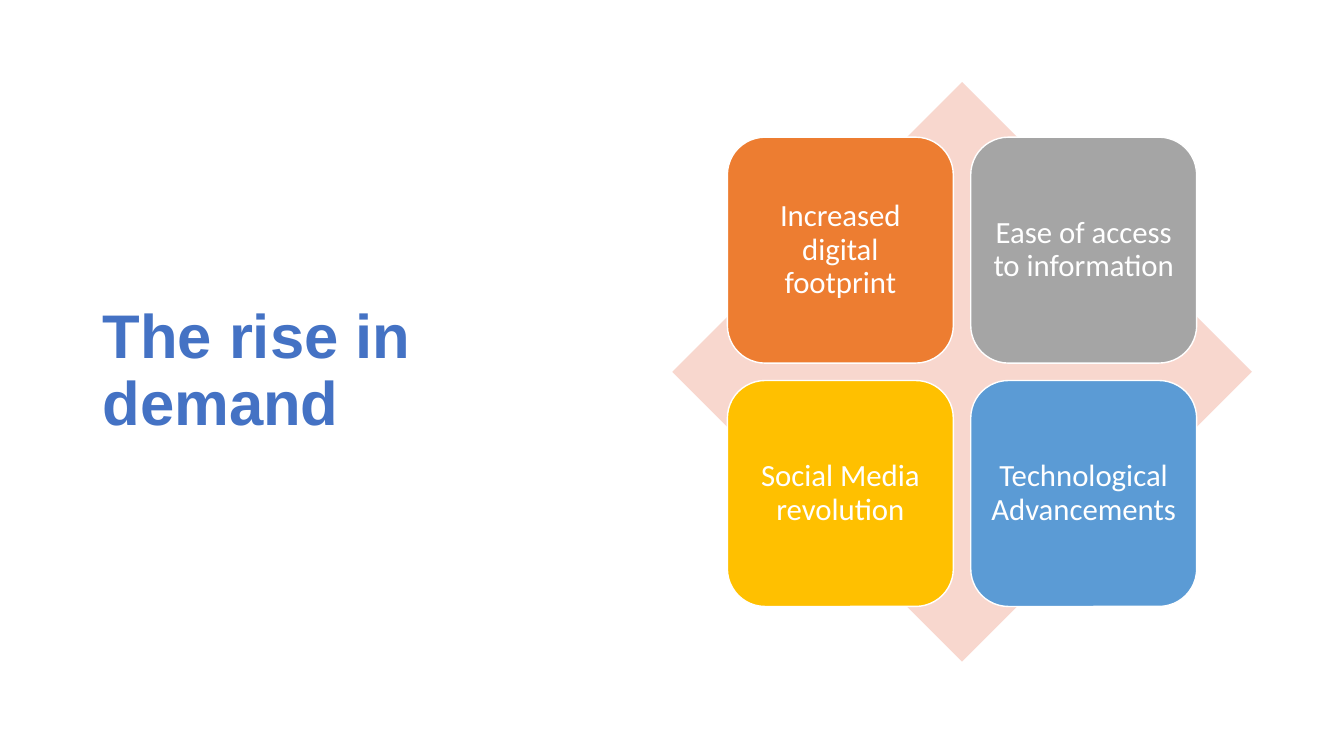
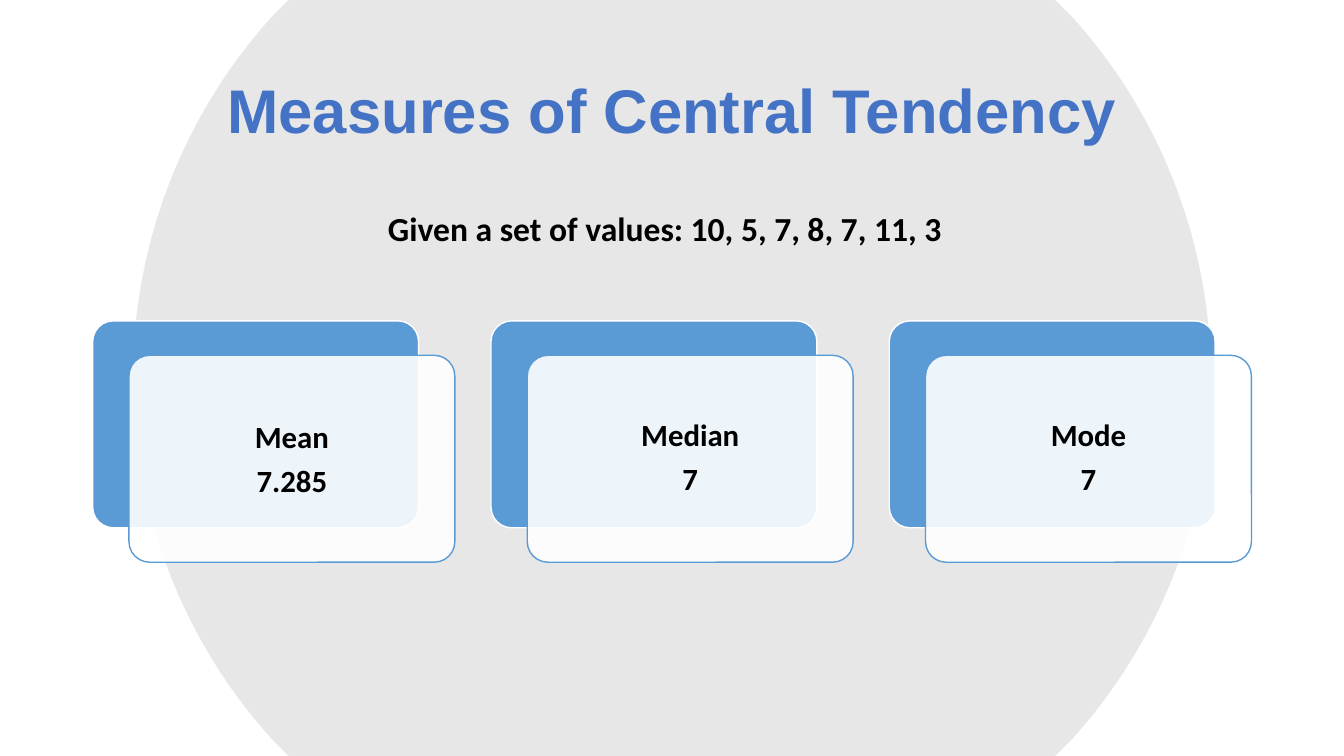
import math

import lxml.etree
import pptx
import pptx.dml.color
import pptx.enum.shapes
import pptx.enum.text
import pptx.oxml.ns
import pptx.util

Pt = pptx.util.Pt
qn = pptx.oxml.ns.qn
SHAPE = pptx.enum.shapes.MSO_SHAPE
ALIGN = pptx.enum.text.PP_ALIGN
ANCHOR = pptx.enum.text.MSO_ANCHOR

SLIDE_W, SLIDE_H = 960, 540
MARGIN = 66.2
TITLE_BLUE, SKY = "4472C4", "5B9BD5"
ORANGE, GREY, GOLD = "ED7D31", "A5A5A5", "FFC000"
PEACH, DISC_GREY = "F8D7CE", "D9D9D9"
WHITE, BLACK = "FFFFFF", "000000"


def rgb(code):
    """Turn a hex string into a colour."""
    return pptx.dml.color.RGBColor.from_string(code)


def paint(sp, fill, line=None, opacity=100):
    """Set the fill, outline and opacity of a shape."""
    sp.shadow.inherit = False
    sp.fill.solid()
    sp.fill.fore_color.rgb = rgb(fill)
    if opacity < 100:
        clr = sp._element.spPr.find(".//" + qn("a:srgbClr"))
        alpha = lxml.etree.SubElement(clr, qn("a:alpha"))
        alpha.set("val", str(opacity * 1000))
    if line:
        sp.line.color.rgb = rgb(line)
        sp.line.width = Pt(1)
    else:
        sp.line.fill.background()


def write(sp, text, size=22, color=BLACK, bold=False, font="Calibri", align=ALIGN.LEFT,
          anchor=ANCHOR.MIDDLE, spacing=0.9, gap=0, inset=None, drop=0):
    """Write formatted text into a shape, one paragraph a line."""
    tf = sp.text_frame
    tf.word_wrap = True
    tf.vertical_anchor = anchor
    if inset is not None:
        tf.margin_left = tf.margin_right = tf.margin_bottom = Pt(inset)
        tf.margin_top = Pt(inset + 2 * drop)
    for i, line in enumerate(text.split("\n")):
        p = tf.add_paragraph() if i else tf.paragraphs[0]
        p.alignment = align
        p.line_spacing = spacing
        p.space_before = Pt(gap if i else 0)
        r = p.add_run()
        r.text = line
        r.font.name, r.font.size, r.font.bold = font, Pt(size), bold
        r.font.color.rgb = rgb(color)


def add_label(s, box, text, **style):
    """Add a text box."""
    write(s.shapes.add_textbox(*map(Pt, box)), text, **style)


def add_title(s, box, text, align=ALIGN.LEFT):
    """Add a slide title."""
    add_label(s, box, text, size=44, color=TITLE_BLUE, bold=True, font="Arial", align=align)


def add_box(s, kind, box, fill, line=None, opacity=100, radius=None):
    """Add a painted preset shape."""
    sp = s.shapes.add_shape(kind, *map(Pt, box))
    if radius is not None:
        sp.adjustments[0] = radius
    paint(sp, fill, line, opacity)
    return sp


def curve_segment(segment, radius, cy, start, end):
    """Replace a straight path segment with a circular arc."""
    k = 4 / 3 * math.tan((end - start) / 4)
    curve = lxml.etree.Element(qn("a:cubicBezTo"))
    for angle, pull in ((start, k), (end, -k), (end, 0)):
        x = radius * (1 + math.cos(angle) - pull * math.sin(angle))
        y = cy + radius * (math.sin(angle) + pull * math.cos(angle))
        pt = lxml.etree.SubElement(curve, qn("a:pt"))
        pt.set("x", str(int(Pt(x))))
        pt.set("y", str(int(Pt(y))))
    segment.getparent().replace(segment, curve)


def add_disc(s, radius, chamfer):
    """Add a centred disc cut off at the top and bottom slide edges."""
    cx, cy = SLIDE_W / 2, SLIDE_H / 2
    limit = math.asin((cy - chamfer) / radius)
    reach = radius * math.cos(limit)
    flat = reach - chamfer
    side = [(flat, -cy), (reach, chamfer - cy), (radius, 0), (reach, cy - chamfer), (flat, cy)]
    outline = side + [(-x, -y) for x, y in side]
    points = [(Pt(cx + x), Pt(cy + y)) for x, y in outline]
    builder = s.shapes.build_freeform(*points[0])
    builder.add_line_segments(points[1:])
    sp = builder.convert_to_shape()
    segments = sp._element.spPr.findall(".//" + qn("a:lnTo"))
    for first, turn in ((1, 0), (6, math.pi)):
        curve_segment(segments[first], radius, cy, turn - limit, turn)
        curve_segment(segments[first + 1], radius, cy, turn, turn + limit)
    paint(sp, DISC_GREY, opacity=62)


def add_matrix(s, items):
    """Add a diamond with a two by two grid of tiles centred on it."""
    left, top, side, tile, gap = 480.2, 58.6, 414, 161.4, 12.4
    add_box(s, SHAPE.DIAMOND, (left, top, side, side), PEACH)
    edge = (side - 2 * tile - gap) / 2
    for i, (text, fill) in enumerate(items):
        row, col = divmod(i, 2)
        x = left + edge + col * (tile + gap)
        y = top + edge + row * (tile + gap)
        sp = add_box(s, SHAPE.ROUNDED_RECTANGLE, (x, y, tile, tile), fill, WHITE)
        write(sp, text, color=WHITE, align=ALIGN.CENTER, inset=6.6)


def add_cards(s, items):
    """Add a row of cards, each over an offset backing."""
    top, w, h, pitch, dx, dy = 229.2, 232.8, 147.8, 284.5, 25.9, 24.6
    for i, (name, value, drop) in enumerate(items):
        x = MARGIN + i * pitch
        add_box(s, SHAPE.ROUNDED_RECTANGLE, (x, top, w, h), SKY, WHITE, radius=0.1)
        sp = add_box(s, SHAPE.ROUNDED_RECTANGLE, (x + dx, top + dy, w, h), WHITE, SKY,
                     opacity=90, radius=0.1)
        write(sp, f"{name}\n{value}", bold=True, align=ALIGN.CENTER, gap=7.7,
              inset=6.6, drop=drop)


def main():
    """Build and save the presentation."""
    prs = pptx.Presentation()
    prs.slide_width, prs.slide_height = Pt(SLIDE_W), Pt(SLIDE_H)
    blank = prs.slide_layouts[6]

    s = prs.slides.add_slide(blank)
    add_title(s, (MARGIN, 49, 383, 433.5), "The rise in demand")
    add_matrix(s, [
        ("Increased digital footprint", ORANGE),
        ("Ease of access to information", GREY),
        ("Social Media revolution", GOLD),
        ("Technological Advancements", SKY),
    ])

    s = prs.slides.add_slide(blank)
    add_disc(s, 385, 12)
    add_label(s, (270, 145, 420, 36), "Given a set of values: 10, 5, 7, 8, 7, 11, 3",
              size=24, bold=True, anchor=ANCHOR.TOP, spacing=1.0)
    add_title(s, (MARGIN, 28.8, 828, 104.4), "Measures of Central Tendency", ALIGN.CENTER)
    add_cards(s, [("Mean", "7.285", 1.4), ("Median", "7", 0), ("Mode", "7", 0)])

    prs.save("out.pptx")


if __name__ == "__main__":
    main()
